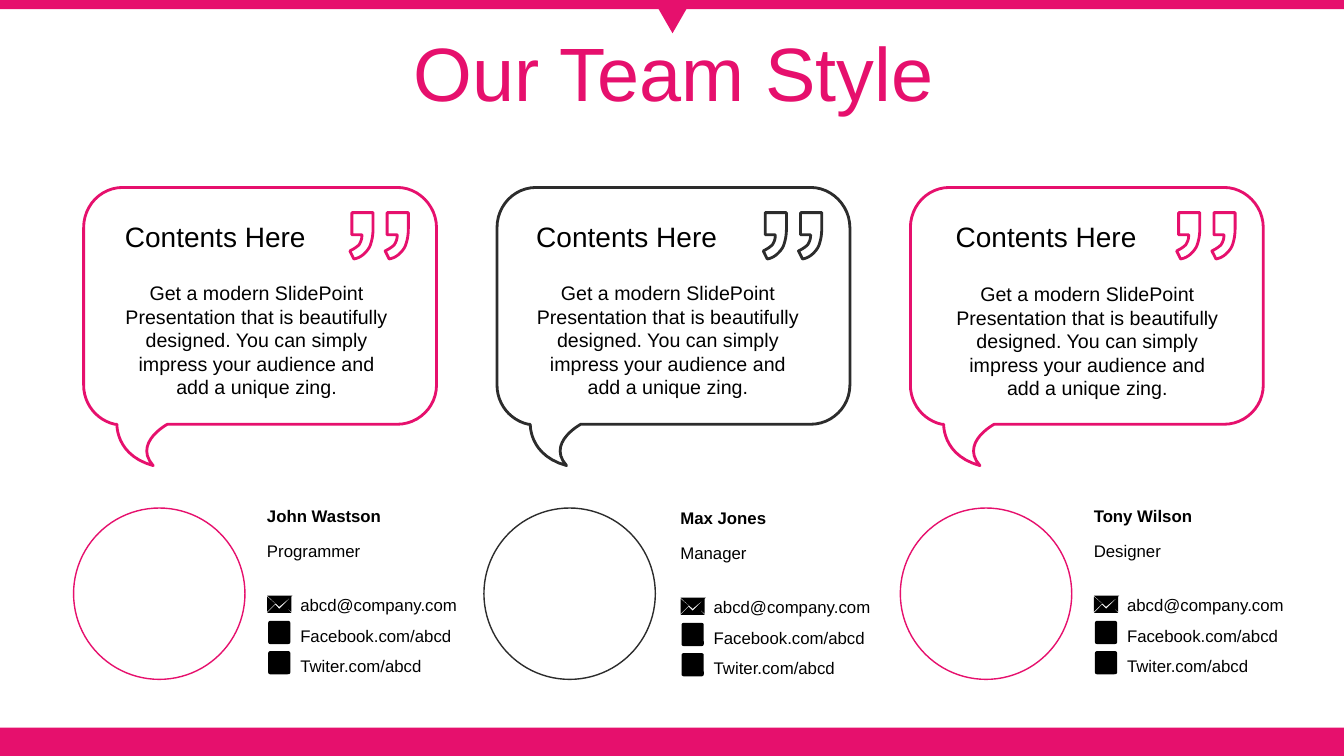
from pptx import Presentation
from pptx.dml.color import RGBColor
from pptx.enum.shapes import MSO_SHAPE
from pptx.enum.text import MSO_ANCHOR, MSO_AUTO_SIZE, PP_ALIGN
from pptx.util import Inches, Pt

OVAL, RECT = MSO_SHAPE.OVAL, MSO_SHAPE.RECTANGLE
ROUND, WEDGE = MSO_SHAPE.ROUNDED_RECTANGLE, MSO_SHAPE.ISOSCELES_TRIANGLE
LEFT, CENTER = PP_ALIGN.LEFT, PP_ALIGN.CENTER
MIDDLE, GROW = MSO_ANCHOR.MIDDLE, MSO_AUTO_SIZE.SHAPE_TO_FIT_TEXT
PINK, DARK, BLACK, WHITE = "E6106D", "2C2C2C", "000000", "FFFFFF"
PITCH = 4.1
STEPS = 12

# Outlines in the first column: pairs are corners, sixes are Bézier curves
BUBBLE = [[
    (1.22, 1.86), (3.94, 1.86), (4.15, 1.86, 4.33, 2.04, 4.33, 2.26),
    (4.33, 3.82), (4.33, 4.04, 4.15, 4.21, 3.94, 4.21), (1.66, 4.21),
    (1.59, 4.25, 1.34, 4.42, 1.52, 4.62),
    (1.19, 4.53, 1.16, 4.28, 1.16, 4.21), (1.14, 4.21),
    (0.96, 4.17, 0.83, 4.01, 0.83, 3.82), (0.83, 2.26),
    (0.83, 2.04, 1, 1.86, 1.22, 1.86),
]]
QUOTES = [[
    (x + 0.04, 2.57), (x, 2.49),
    (x + 0.04, 2.47, x + 0.07, 2.45, x + 0.09, 2.43),
    (x + 0.11, 2.4, x + 0.12, 2.37, x + 0.12, 2.33),
    (x + 0.02, 2.33), (x + 0.02, 2.11), (x + 0.23, 2.11), (x + 0.23, 2.27),
    (x + 0.23, 2.33, x + 0.22, 2.38, x + 0.21, 2.41),
    (x + 0.2, 2.45, x + 0.18, 2.48, x + 0.15, 2.51),
    (x + 0.12, 2.54, x + 0.09, 2.56, x + 0.04, 2.57),
] for x in (3.47, 3.82)]
LETTER = [
    [(2.81, 6), (2.89, 6.08), (2.65, 6.08), (2.73, 6), (2.77, 6.04)],
    [(2.89, 5.92), (2.89, 6.07), (2.81, 6), (2.82, 5.99)],
    [(2.65, 5.92), (2.73, 5.99), (2.65, 6.07)],
    [(2.65, 5.91), (2.9, 5.91), (2.77, 6.02)],
]

HEAD = "Contents Here"
BODY = ("Get a modern SlidePoint Presentation that is beautifully designed. "
        "You can simply impress your audience and add a unique zing.")
LINKS = ["abcd@company.com", "Facebook.com/abcd", "Twiter.com/abcd"]
# name, role, colour, circle left, text left, body top, contact shift down
TEAM = [
    ("John Wastson", "Programmer", PINK, 0.73, 1.14, 2.74, 0),
    ("Max Jones", "Manager", DARK, 4.8, 5.22, 2.74, 0.02),
    ("Tony Wilson", "Designer", PINK, 8.93, 9.38, 2.75, 0),
]


def rgb(code):
    return RGBColor.from_string(code)


def paint(shape, fill=None, line=None, width=1):
    shape.shadow.inherit = False
    if fill:
        shape.fill.solid()
        shape.fill.fore_color.rgb = rgb(fill)
    else:
        shape.fill.background()
    if line:
        shape.line.color.rgb = rgb(line)
        shape.line.width = Pt(width)
    else:
        shape.line.fill.background()


deck = Presentation()
deck.slide_width, deck.slide_height = Inches(13.33), Inches(7.5)
shapes = deck.slides.add_slide(deck.slide_layouts[6]).shapes

# Bars and the top pointer
for kind, *box in [(RECT, 0, 7.22, 13.33, 0.3), (RECT, 0, 0, 13.33, 0.09),
                   (WEDGE, 6.48, 0, 0.38, 0.33)]:
    part = shapes.add_shape(kind, *map(Inches, box))
    paint(part, PINK)
    if kind == WEDGE:
        part.rotation = 180

# Collect text, and draw each member's shapes
texts = [("Our Team Style", (0.35, 0.37, 12.66, 0.79), CENTER,
          {"size": Pt(54)}, PINK)]
for col, (name, role, hue, ring, left, top, drop) in enumerate(TEAM):
    shift = col * PITCH
    oval = shapes.add_shape(OVAL, *map(Inches, (ring, 5.04, 1.7, 1.7)))
    paint(oval, line=hue)

    for paths, fill, line, down in [(BUBBLE, None, hue, 0),
                                    (QUOTES, WHITE, hue, 0),
                                    (LETTER, BLACK, None, drop)]:
        form = None
        for path in paths:
            spots = []
            for step in path:
                if len(step) == 2:
                    spots.append(step)
                    continue
                a, (b, c, d) = spots[-1], zip(step[::2], step[1::2])
                for n in range(1, STEPS + 1):
                    t = n / STEPS
                    u = 1 - t
                    spots.append(tuple(
                        u**3 * p + 3 * u * u * t * q + 3 * u * t * t * r
                        + t**3 * s for p, q, r, s in zip(a, b, c, d)))
            spots = [(Inches(x + shift), Inches(y + down)) for x, y in spots]
            if form is None:
                form = shapes.build_freeform(*spots[0])
            else:
                form.move_to(*spots[0])
            form.add_line_segments(spots[1:], close=True)
        paint(form.convert_to_shape(), fill, line, 2)

    # Plain badges beside the web links
    for y in (6.16, 6.46):
        badge = shapes.add_shape(
            ROUND, *map(Inches, (2.66 + shift, y + drop, 0.22, 0.23)))
        badge.adjustments[0] = 0.09
        paint(badge, BLACK)

    small = {"size": Pt(12)}
    texts += [
        (name, (2.55 + shift, 4.97 + drop, 2.1, 0.3), LEFT,
         {"size": Pt(12), "bold": True}, BLACK),
        (role, (2.55 + shift, 5.32 + drop, 2.1, 0.3), LEFT, small, BLACK),
        (BODY, (left, top, 2.81, 1.28), CENTER, {"size": Pt(14)}, BLACK),
        (HEAD, (left, 2.13, 2.18, 0.44), LEFT, {"size": Pt(20)}, BLACK),
    ]
    for row, link in enumerate(LINKS):
        box = (2.88 + shift, 5.85 + drop + row * 0.305, 1.77, 0.3)
        texts.append((link, box, LEFT, small, BLACK))

# Text boxes
for words, box, align, style, hue in texts:
    frame = shapes.add_textbox(*map(Inches, box)).text_frame
    frame.word_wrap = True
    line = frame.paragraphs[0]
    line.text, line.alignment = words, align
    if hue == PINK:
        frame.vertical_anchor = MIDDLE
        line.line_spacing = 0.9
    else:
        frame.auto_size = GROW
    font = line.runs[0].font
    for key, value in {"name": "Arial", **style}.items():
        setattr(font, key, value)
    font.color.rgb = rgb(hue)

deck.save("out.pptx")
